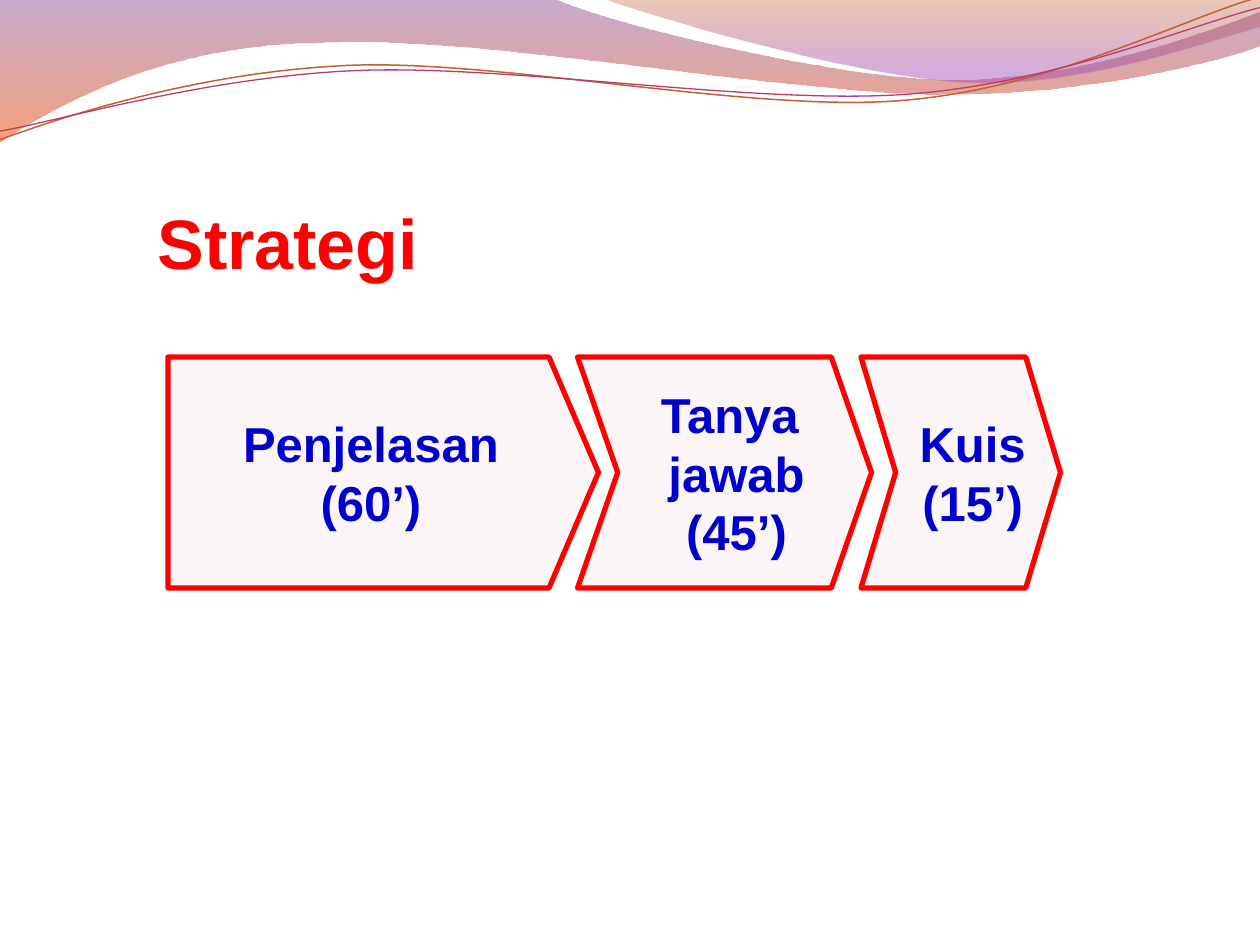
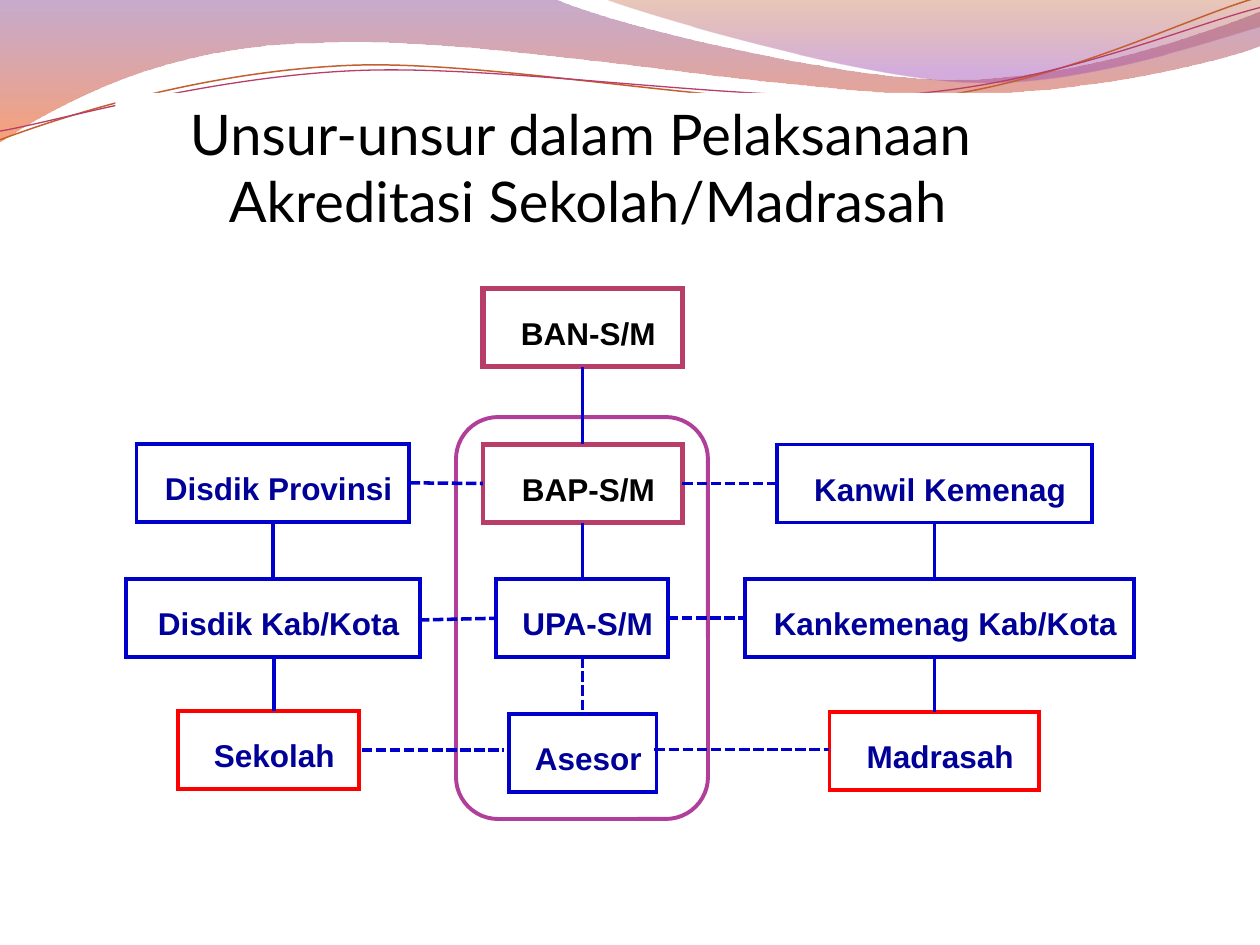
import pptx
import pptx.dml.color
import pptx.enum.dml
import pptx.enum.shapes
import pptx.enum.text
import pptx.oxml
import pptx.oxml.ns
import pptx.util

Pt = pptx.util.Pt
SHAPE = pptx.enum.shapes.MSO_SHAPE
ANCHOR = pptx.enum.text.MSO_ANCHOR
ALIGN = pptx.enum.text.PP_ALIGN
qn = pptx.oxml.ns.qn
BLUE, NAVY, RED, ROSE, BLACK, WHITE = "0000CC", "000099", "FF0000", "B83D68", "000000", "FFFFFF"


def rgb(value):
    return pptx.dml.color.RGBColor.from_string(value)


def add_xml(parent, tag, attributes=""):
    ns = "http://schemas.openxmlformats.org/drawingml/2006/main"
    child = pptx.oxml.parse_xml(f'<a:{tag} xmlns:a="{ns}" {attributes}/>')
    parent.append(child)
    return child


prs = pptx.Presentation()
prs.slide_width, prs.slide_height = Pt(720), Pt(540)
layout = prs.slide_layouts[5]
s1 = prs.slides.add_slide(layout)
s2 = prs.slides.add_slide(layout)

waves = [
    ([(0, -0.7), (316.8, -0.7), (342.7, 12.2, 478.1, 45.4, 545.8, 45.4),
      (614.2, 45.4, 689.8, 18.7, 720, 6.5), (720.7, 25.9),
      (707.8, 31.7, 626.4, 54.7, 537.1, 54), (447.8, 54, 275, 20.2, 185, 24.5),
      (92.9, 25.2, 33.1, 59.8, -0.7, 81.4)],
     [(0, "834591", 45), (1, "F35307", 55)], None),
    ([(344.9, -0.7), (366.5, 7.9, 491, 44.6, 553.7, 46.8),
      (616.3, 49.7, 691.9, 23, 720, 15.1), (720, 0)],
     [(0, "B74915", 30), (0.8, "A14BB4", 45)], None),
    ([(0, 79.9), (34.6, 67, 113.8, 41, 199.4, 37.4),
      (284.4, 33.8, 427, 64.1, 513.4, 57.6), (599.8, 51.1, 675.4, 10.8, 718.6, -1.4)],
     None, ("C45F30", 0.85)),
    ([(0, 74.9), (33.8, 69.1, 118.1, 43.9, 203.8, 40.3),
      (290.2, 36.7, 429.8, 59.8, 516.2, 54), (601.9, 48.2, 677.5, 15.1, 720, 4.3)],
     None, (ROSE, 0.75)),
]
for segments, stops, line in waves:
    points = [(Pt(seg[i]), Pt(seg[i + 1])) for seg in segments for i in range(0, len(seg), 2)]
    builder = s1.shapes.build_freeform(*points[0])
    builder.add_line_segments(points[1:], close=stops is not None)
    sp = builder.convert_to_shape()
    sp.shadow.inherit = False
    outline = next(sp.element.iter(qn("a:path")))
    steps = iter(outline.findall(qn("a:lnTo")))
    for seg in segments[1:]:
        first = next(steps)
        if len(seg) == 6:
            curve = add_xml(outline, "cubicBezTo")
            first.addprevious(curve)
            for step in (first, next(steps), next(steps)):
                curve.append(step[0])
                outline.remove(step)
    if stops:
        sp.line.fill.background()
        sp.fill.gradient()
        sp.fill.gradient_angle = 270
        for stop, (position, color, opacity) in zip(sp.fill.gradient_stops, stops):
            stop.position = position
            stop.color.rgb = rgb(color)
        for clr, (position, color, opacity) in zip(sp.element.iter(qn("a:srgbClr")), stops):
            add_xml(clr, "alpha", f'val="{opacity * 1000}"')
    else:
        sp.fill.background()
        sp.line.color.rgb = rgb(line[0])
        sp.line.width = Pt(line[1])
    layout.shapes.element.append(sp.element)

titles = [
    (s1, (90, 100, 180, 62), ["Strategi"], "Arial", 40, RED, True, ALIGN.LEFT, ANCHOR.BOTTOM, 0, 0),
    (s2, (66, 53, 540, 85), ["Unsur-unsur dalam Pelaksanaan ", "Akreditasi Sekolah/Madrasah"],
     "Lato", 32, BLACK, False, ALIGN.CENTER, ANCHOR.TOP, 7.2, 3.6),
]
for s, box, lines, font, size, color, bold, align, anchor, side, bottom in titles:
    sp = s.shapes.title
    sp.left, sp.top, sp.width, sp.height = [Pt(v) for v in box]
    tf = sp.text_frame
    tf.auto_size = pptx.enum.text.MSO_AUTO_SIZE.NONE
    tf.word_wrap = True
    tf.vertical_anchor = anchor
    tf.margin_left = tf.margin_right = Pt(side)
    tf.margin_top, tf.margin_bottom = Pt(3.6), Pt(bottom)
    for i, text in enumerate(lines):
        p = tf.add_paragraph() if i else tf.paragraphs[0]
        p.alignment = align
        r = p.add_run()
        r.text = text
        r.font.name, r.font.size, r.font.bold = font, Pt(size), bold
        r.font.color.rgb = rgb(color)
s2.shapes.title.fill.solid()
s2.shapes.title.fill.fore_color.rgb = rgb(WHITE)

LEFT, MIDDLE, RIGHT = 156, 333, 534
RECT = SHAPE.RECTANGLE
STAGE = (204, 132, "FBF5F8", RED, 3, BLUE)
BAN = (165, 44.6, WHITE, ROSE, 3, BLACK)
BAP = (254, 44.6, WHITE, ROSE, 2.5, BLACK)
PROVINCE = (253.6, 44.6, WHITE, BLUE, 2.25, NAVY)
OFFICE = (254, 44.6, WHITE, BLUE, 2.25, NAVY)
DISTRICT = (331, 44.6, WHITE, BLUE, 2.25, NAVY)
ASSESSOR = (408.2, 44.6, WHITE, BLUE, 2.25, NAVY)
SCHOOL = (406.5, 44.6, WHITE, RED, 2.25, NAVY)
MADRASAH = (407, 44.6, WHITE, RED, 2.25, NAVY)
FRAME = (238.3, 229.7, WHITE, "B13F9A", 2.25, BLACK)
items = [
    (s1, SHAPE.PENTAGON, 219, 246, 0.214, STAGE, ["Penjelasan", "(60’)"]),
    (s1, SHAPE.CHEVRON, 414, 168, 0.174, STAGE, ["Tanya ", "jawab", "(45’)"]),
    (s1, SHAPE.CHEVRON, 549, 114, 0.174, STAGE, ["Kuis", "(15’)"]),
    (s2, SHAPE.ROUNDED_RECTANGLE, 332.6, 144, 0.167, FRAME, []),
    (s2, RECT, MIDDLE, 114, None, BAN, ["BAN-S/M"]),
    (s2, RECT, MIDDLE, 114, None, BAP, ["BAP-S/M"]),
    (s2, RECT, 332.6, 98, None, DISTRICT, ["UPA-S/M"]),
    (s2, RECT, MIDDLE, 84.4, None, ASSESSOR, ["Asesor"]),
    (s2, RECT, LEFT, 156, None, PROVINCE, ["Disdik Provinsi"]),
    (s2, RECT, RIGHT, 180, None, OFFICE, ["Kanwil Kemenag"]),
    (s2, RECT, LEFT, 168, None, DISTRICT, ["Disdik Kab/Kota"]),
    (s2, RECT, 537, 222, None, DISTRICT, ["Kankemenag Kab/Kota"]),
    (s2, RECT, RIGHT, 120, None, MADRASAH, ["Madrasah"]),
    (s2, RECT, 153.5, 103, None, SCHOOL, ["Sekolah"]),
]
boxes = {}
for s, kind, center, width, adjust, style, lines in items:
    top, height, fill, border, weight, color = style
    sp = s.shapes.add_shape(kind, Pt(center - width / 2), Pt(top), Pt(width), Pt(height))
    sp.shadow.inherit = False
    sp.fill.solid()
    sp.fill.fore_color.rgb = rgb(fill)
    sp.line.color.rgb = rgb(border)
    sp.line.width = Pt(weight)
    if adjust:
        sp.adjustments[0] = adjust
    else:
        boxes[lines[0]] = sp
        add_xml(sp.element.spPr.find(qn("a:ln")), "miter", 'lim="800000"')
    tf = sp.text_frame
    tf.word_wrap = kind == RECT
    tf.vertical_anchor = ANCHOR.TOP if kind == RECT else ANCHOR.MIDDLE
    for i, text in enumerate(lines):
        p = tf.add_paragraph() if i else tf.paragraphs[0]
        p.alignment = ALIGN.CENTER
        pPr = p._p.get_or_add_pPr()
        if kind == RECT:
            p.line_spacing = 1.5
            p.space_before, p.space_after = Pt(12), Pt(6)
            pPr.set("marL", str(Pt(28)))
            pPr.set("indent", str(Pt(-21.6)))
        elif kind == SHAPE.CHEVRON:
            pPr.set("marL", str(Pt(13.7)))
            pPr.set("indent", "0")
        r = p.add_run()
        r.text = text
        r.font.name, r.font.bold = "Arial", True
        r.font.size = Pt(18 if kind == RECT else 28)
        r.font.color.rgb = rgb(color)

DOWN, ACROSS = (2, 0), (3, 1)
links = [
    ("BAN-S/M", "BAP-S/M", DOWN, 2, False),
    ("BAP-S/M", (MIDDLE, 331), DOWN, 1.5, False),
    ((MIDDLE, 375.6), "Asesor", DOWN, 2, True),
    ("Disdik Provinsi", "Disdik Kab/Kota", DOWN, 2, False),
    ((156.5, 375), (156.5, 406.5), DOWN, 2, False),
    ("Kanwil Kemenag", (RIGHT, 331), DOWN, 2, False),
    ((RIGHT, 375.6), "Madrasah", DOWN, 2, False),
    ("Disdik Provinsi", "BAP-S/M", ACROSS, 2, True),
    ("BAP-S/M", "Kanwil Kemenag", ACROSS, 2, True),
    ((239.3, 354.3), "UPA-S/M", ACROSS, 2, True),
    ("UPA-S/M", "Kankemenag Kab/Kota", ACROSS, 2, True),
    ((206.6, 428.7), (288, 428.7), ACROSS, 2, True),
    ((374, 428.2), (474, 428.2), ACROSS, 2, True),
]
for start, end, sides, weight, dashed in links:
    x1, y1 = (0, 0) if start in boxes else start
    x2, y2 = (0, 0) if end in boxes else end
    cn = s2.shapes.add_connector(pptx.enum.shapes.MSO_CONNECTOR.STRAIGHT,
                                 Pt(x1), Pt(y1), Pt(x2), Pt(y2))
    if start in boxes:
        cn.begin_connect(boxes[start], sides[0])
    if end in boxes:
        cn.end_connect(boxes[end], sides[1])
    cn.line.color.rgb = rgb(BLUE)
    cn.line.width = Pt(weight)
    if dashed:
        cn.line.dash_style = pptx.enum.dml.MSO_LINE.SQUARE_DOT
    add_xml(cn.element.spPr, "effectLst")

prs.save("out.pptx")
